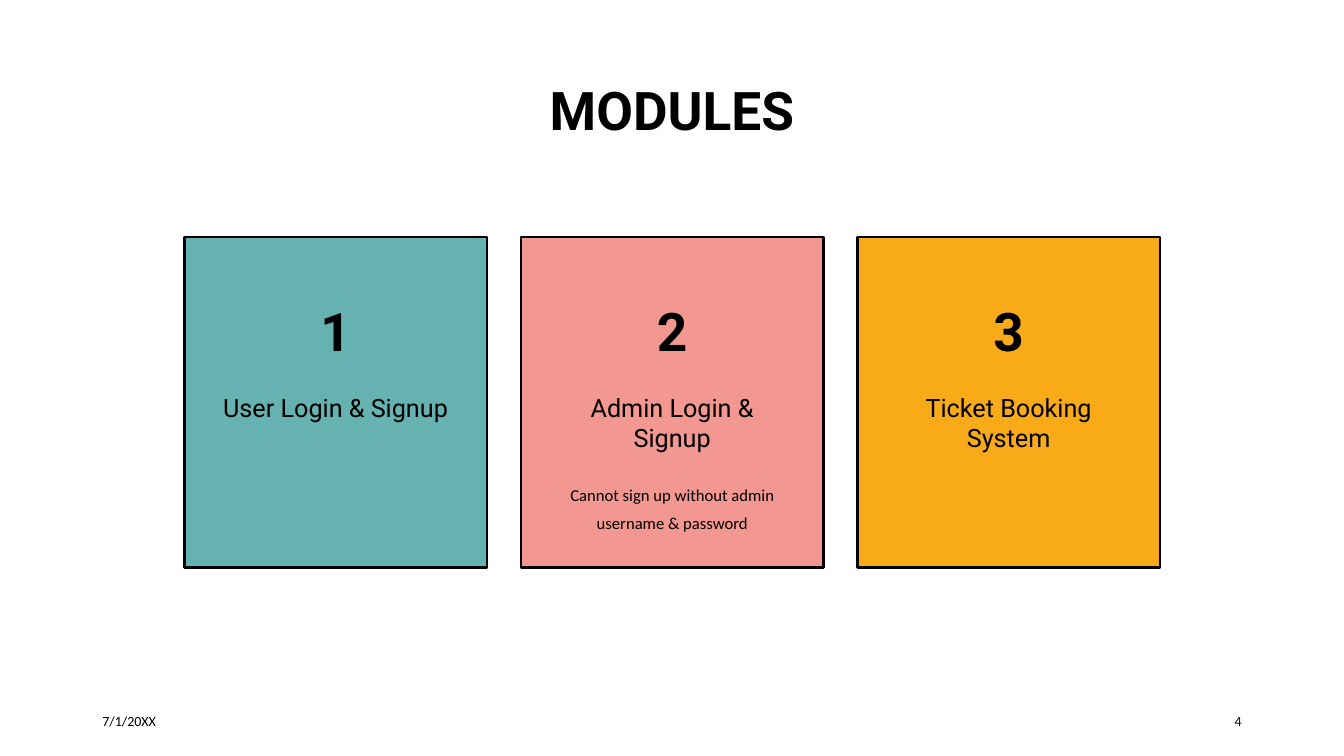
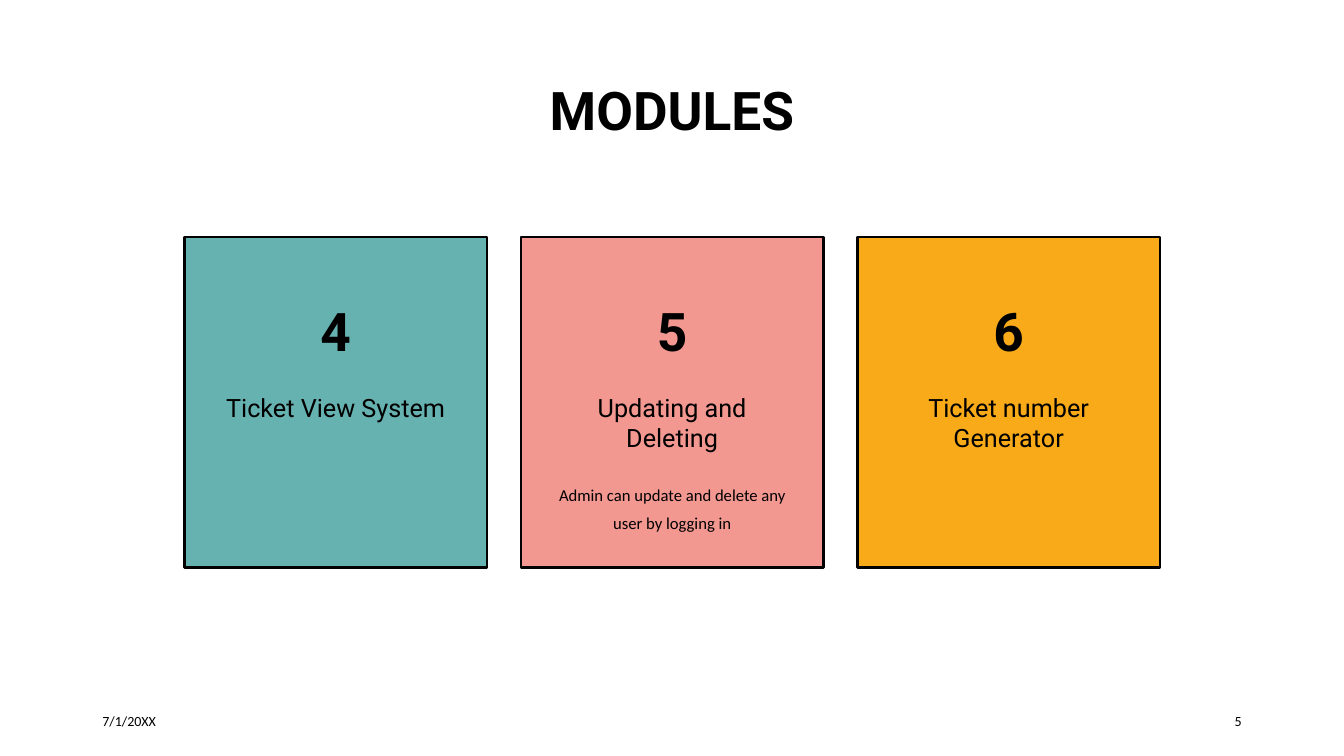
from pptx import Presentation
from pptx.dml.color import RGBColor
from pptx.enum import shapes, text
from pptx.util import Cm, Pt

BLACK = RGBColor(0x00, 0x00, 0x00)
TEAL = RGBColor(0x66, 0xB2, 0xB0)
PINK = RGBColor(0xF3, 0x98, 0x91)
AMBER = RGBColor(0xF9, 0xAA, 0x19)

CARD_COLORS = [TEAL, PINK, AMBER]
CARD_LEFT, CARD_TOP = Cm(4.65), Cm(5.97)
CARD_WIDTH, CARD_HEIGHT = Cm(7.62), Cm(8.33)
CARD_STEP = Cm(8.48)
LABEL_WIDTH = Cm(6.35)
LABEL_INSET = (CARD_WIDTH - LABEL_WIDTH) // 2
FOOTER_TOP, FOOTER_WIDTH, FOOTER_HEIGHT = Cm(17.65), Cm(7.62), Cm(1.02)
DATE = "7/1/20XX"

LEFT, CENTER, RIGHT = text.PP_ALIGN.LEFT, text.PP_ALIGN.CENTER, text.PP_ALIGN.RIGHT
TOP, MIDDLE = text.MSO_ANCHOR.TOP, text.MSO_ANCHOR.MIDDLE

DISPLAY = {"name": "Roboto", "size": Pt(38), "bold": True}
HEADING = {"name": "Roboto", "size": Pt(18), "bold": False}
NOTE = {"name": "Calibri", "size": Pt(11.9), "bold": False}
FOOTER = {"name": "Calibri", "size": Pt(10), "bold": False}

# Page number, then (heading, note) for each card
PAGES = [
    (4, [
        ("User Login & Signup", ""),
        ("Admin Login & Signup", "Cannot sign up without admin username & password"),
        ("Ticket Booking System", ""),
    ]),
    (5, [
        ("Ticket View System", ""),
        ("Updating and Deleting", "Admin can update and delete any user by logging in"),
        ("Ticket number Generator", ""),
    ]),
]


def write(shape, words, font, align=CENTER, anchor=TOP, spacing=1.0):
    frame = shape.text_frame
    frame.word_wrap = True
    frame.auto_size = text.MSO_AUTO_SIZE.NONE
    frame.vertical_anchor = anchor
    paragraph = frame.paragraphs[0]
    paragraph.alignment = align
    paragraph.line_spacing = spacing
    run = paragraph.add_run()
    run.text = words
    for key, value in font.items():
        setattr(run.font, key, value)
    run.font.color.rgb = BLACK


prs = Presentation()
prs.slide_width, prs.slide_height = Cm(33.87), Cm(19.05)
title_only = prs.slide_layouts[5]
first_module = 1

for page_number, modules in PAGES:
    slide = prs.slides.add_slide(title_only)
    title = slide.shapes.title
    title.left, title.top, title.width, title.height = Cm(2.33), Cm(1.02), Cm(29.21), Cm(3.68)
    write(title, "MODULES", DISPLAY, anchor=MIDDLE, spacing=0.9)

    for column, (heading, note) in enumerate(modules):
        left = CARD_LEFT + column * CARD_STEP
        card = slide.shapes.add_shape(
            shapes.MSO_SHAPE.RECTANGLE, left, CARD_TOP, CARD_WIDTH, CARD_HEIGHT)
        card.shadow.inherit = False
        card.fill.solid()
        card.fill.fore_color.rgb = CARD_COLORS[column]
        card.line.color.rgb = BLACK
        card.line.width = Pt(1.75)
        card.text_frame.margin_top = Cm(1.73)
        write(card, str(first_module + column), DISPLAY, spacing=0.9)

        label_left = left + LABEL_INSET
        heading_box = slide.shapes.add_textbox(label_left, Cm(9.75), LABEL_WIDTH, Cm(2.03))
        write(heading_box, heading, HEADING)
        if note:
            note_box = slide.shapes.add_textbox(label_left, Cm(11.89), LABEL_WIDTH, Cm(1.78))
            write(note_box, note, NOTE, spacing=Pt(20))
    first_module += len(modules)

    for left, words, align in [(Cm(2.33), DATE, LEFT), (Cm(23.92), str(page_number), RIGHT)]:
        footer = slide.shapes.add_textbox(left, FOOTER_TOP, FOOTER_WIDTH, FOOTER_HEIGHT)
        write(footer, words, FOOTER, align, MIDDLE)

prs.save("out.pptx")
